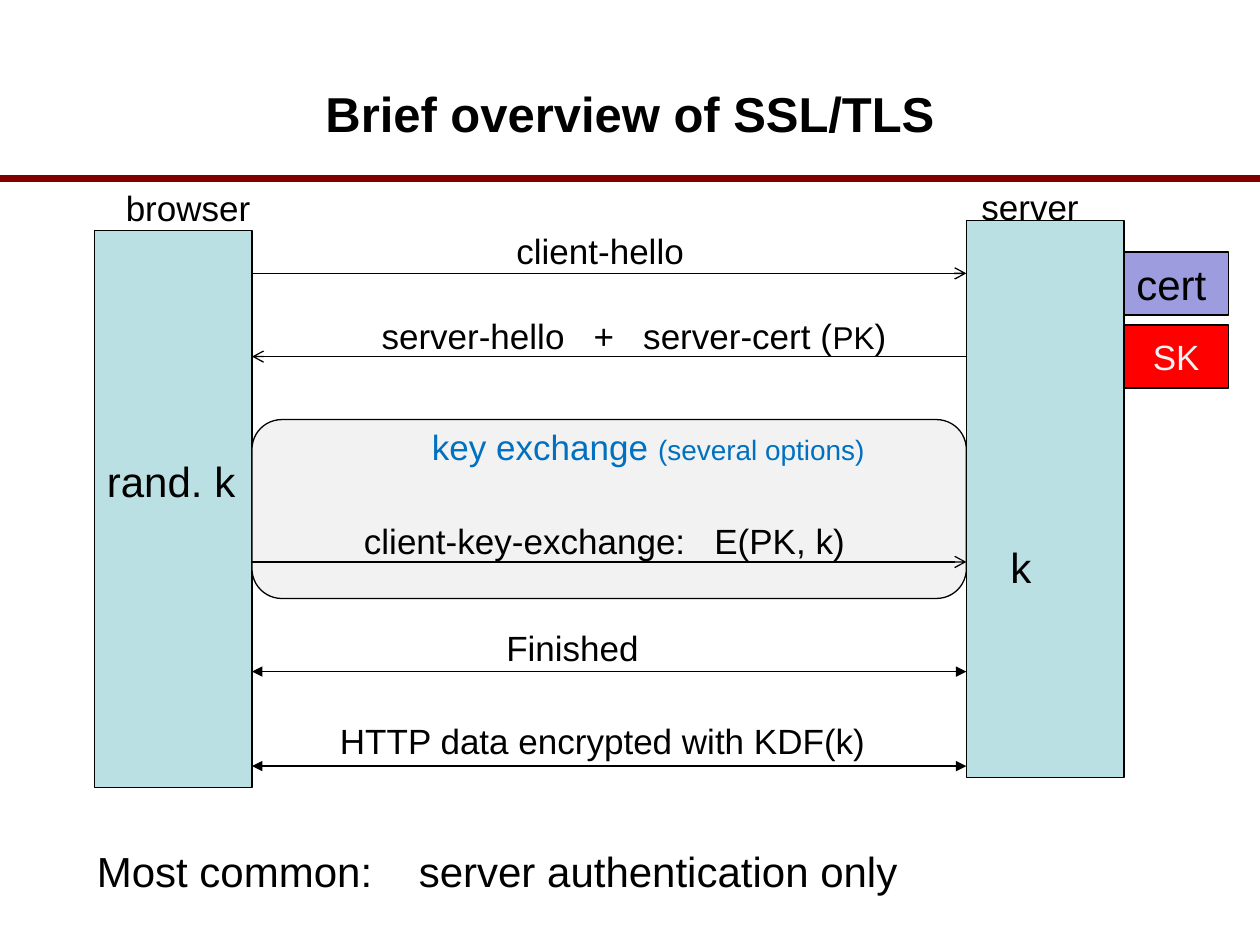
from lxml import etree
from pptx import Presentation
from pptx.dml.color import RGBColor
from pptx.enum import shapes, text
from pptx.oxml.ns import qn
from pptx.util import Inches, Pt

BLACK = RGBColor(0x00, 0x00, 0x00)
MAROON = RGBColor(0x80, 0x00, 0x00)
TEAL = RGBColor(0xBB, 0xE0, 0xE3)
RED = RGBColor(0xFF, 0x00, 0x00)
LILAC = RGBColor(0x9C, 0x9C, 0xDF)
PALE = RGBColor(0xF2, 0xF2, 0xF2)
BLUE = RGBColor(0x00, 0x70, 0xC0)

BROWSER_EDGE, SERVER_EDGE = 2, 7.67
PARTY_WIDTH, PARTY_HEIGHT = 1.25, 4.42

prs = Presentation()
prs.slide_width, prs.slide_height = Inches(10), Inches(7.5)
slide = prs.slides.add_slide(prs.slide_layouts[6])


def write(shape, runs, color=BLACK, wrap=False, align=text.PP_ALIGN.LEFT,
          anchor=text.MSO_ANCHOR.TOP):
    """Fill a shape with one paragraph of (wording, size) runs."""
    frame = shape.text_frame
    frame.word_wrap = wrap
    frame.vertical_anchor = anchor
    paragraph = frame.paragraphs[0]
    paragraph.alignment = align
    paragraph.font.name = "Arial"
    paragraph.font.size = Pt(runs[0][1])
    paragraph.font.color.rgb = color
    for wording, size in runs:
        run = paragraph.add_run()
        run.text = wording
        if size != runs[0][1]:
            run.font.size = Pt(size)
    return paragraph


def connect(x1, y1, x2, y2, color=BLACK, width=0.75, head=None, tail=None):
    """Draw a straight line with optional arrowheads."""
    line = slide.shapes.add_connector(
        shapes.MSO_CONNECTOR.STRAIGHT, Inches(x1), Inches(y1), Inches(x2), Inches(y2))
    line.line.color.rgb = color
    line.line.width = Pt(width)
    for end, kind in (("a:headEnd", head), ("a:tailEnd", tail)):
        if kind:
            etree.SubElement(line.line._get_or_add_ln(), qn(end), type=kind)
    etree.SubElement(line._element.spPr, qn("a:effectLst"))


# Title and rule
connect(0, 1.42, 10, 1.42, MAROON, 4)
title = slide.shapes.add_textbox(Inches(0.75), Inches(0.27), Inches(8.5), Inches(1.25))
heading = write(title, [("Brief overview of SSL/TLS", 28)], wrap=True,
                align=text.PP_ALIGN.CENTER, anchor=text.MSO_ANCHOR.MIDDLE)
heading.font.bold = True

# Parties, key exchange panel and the server's key boxes
RECT = shapes.MSO_SHAPE.RECTANGLE
ROUNDED = shapes.MSO_SHAPE.ROUNDED_RECTANGLE
KEY_LEFT = SERVER_EDGE + PARTY_WIDTH
boxes = []
for kind, left, top, width, height, fill in (
    (RECT, BROWSER_EDGE - PARTY_WIDTH, 1.83, PARTY_WIDTH, PARTY_HEIGHT, TEAL),
    (ROUNDED, BROWSER_EDGE, 3.33, SERVER_EDGE - BROWSER_EDGE, 1.42, PALE),
    (RECT, SERVER_EDGE, 1.75, PARTY_WIDTH, PARTY_HEIGHT, TEAL),
    (RECT, KEY_LEFT, 2, 0.83, 0.5, LILAC),
    (RECT, KEY_LEFT, 2.58, 0.83, 0.5, RED),
):
    box = slide.shapes.add_shape(kind, Inches(left), Inches(top), Inches(width), Inches(height))
    box.shadow.inherit = False
    box.fill.solid()
    box.fill.fore_color.rgb = fill
    box.line.color.rgb = BLACK
    box.line.width = Pt(0.75)
    boxes.append(box)
certificate, secret_key = boxes[-2:]
write(certificate, [("cert", 24)], wrap=True)
write(secret_key, [("SK", 20)], PALE, wrap=True,
      align=text.PP_ALIGN.CENTER, anchor=text.MSO_ANCHOR.MIDDLE)

# Messages between browser and server
for y, head, tail in (
    (2.17, None, "arrow"),
    (2.83, "arrow", None),
    (4.46, None, "arrow"),
    (5.33, "triangle", "triangle"),
    (6.08, "triangle", "triangle"),
):
    connect(BROWSER_EDGE, y, SERVER_EDGE, y, head=head, tail=tail)

# Labels
for left, top, width, height, color, runs in (
    (0.9, 1.43, 1.2, 0.44, BLACK, [("browser", 20)]),
    (7.69, 1.42, 0.98, 0.44, BLACK, [("server", 20)]),
    (4, 1.77, 1.54, 0.44, BLACK, [("client-hello", 20)]),
    (2.93, 2.45, 4.27, 0.44, BLACK,
     [("server-hello   +   server-cert (", 20), ("PK", 18), (")", 20)]),
    (3.33, 3.33, 3.67, 0.44, BLUE, [("key exchange ", 20), ("(several options)", 16)]),
    (2.79, 4.07, 4.02, 0.44, BLACK, [("client-key-exchange:   E(PK, k)", 20)]),
    (0.75, 3.57, 1.25, 0.5, BLACK, [("rand. k", 24)]),
    (7.92, 4.25, 0.37, 0.5, BLACK, [("k", 24)]),
    (3.92, 4.92, 1.26, 0.44, BLACK, [("Finished", 20)]),
    (2.6, 5.66, 4.4, 0.44, BLACK, [("HTTP data encrypted with KDF(k)", 20)]),
    (0.67, 6.66, 6.71, 0.5, BLACK, [("Most common:    server authentication only", 24)]),
):
    label = slide.shapes.add_textbox(Inches(left), Inches(top), Inches(width), Inches(height))
    write(label, runs, color)

prs.save("out.pptx")
